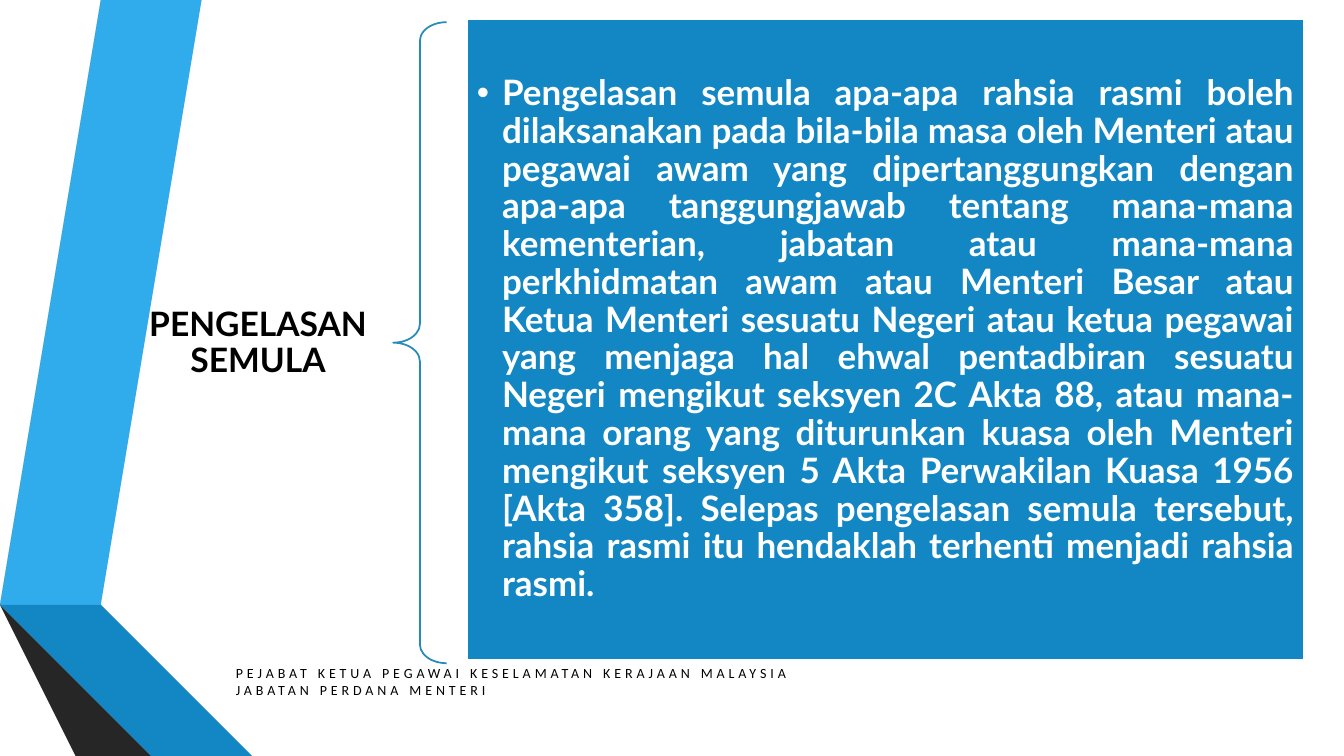
from pptx import Presentation
from pptx.dml.color import RGBColor
from pptx.enum import shapes, text
from pptx.oxml import parse_xml
from pptx.oxml.ns import nsdecls
from pptx.util import Inches, Pt

# Content
HEADING = "PENGELASAN SEMULA"
EXPLANATION = (
    "Pengelasan semula apa-apa rahsia rasmi boleh dilaksanakan pada bila-bila masa "
    "oleh Menteri atau pegawai awam yang dipertanggungkan dengan apa-apa tanggungjawab "
    "tentang mana-mana kementerian, jabatan atau mana-mana perkhidmatan awam atau "
    "Menteri Besar atau Ketua Menteri sesuatu Negeri atau ketua pegawai yang menjaga "
    "hal ehwal pentadbiran sesuatu Negeri mengikut seksyen 2C Akta 88, atau mana-mana "
    "orang yang diturunkan kuasa oleh Menteri mengikut seksyen 5 Akta Perwakilan Kuasa "
    "1956 [Akta 358]. Selepas pengelasan semula tersebut, rahsia rasmi itu hendaklah "
    "terhenti menjadi rahsia rasmi."
)
OFFICE = "PEJABAT KETUA PEGAWAI KESELAMATAN KERAJAAN MALAYSIA\nJABATAN PERDANA MENTERI"

BLACK = RGBColor(0x00, 0x00, 0x00)
WHITE = RGBColor(0xFF, 0xFF, 0xFF)
BLUE = RGBColor(0x12, 0x87, 0xC3)
BRACE_BLUE = RGBColor(0x26, 0x8A, 0xBD)

# Ribbon facets: colour and corners in inches
RIBBONS = [
    (RGBColor(0x30, 0xAC, 0xEC), [(0.5, 5.78), (0.77, 5.83), (1.73, 0), (1.45, 0)]),
    (RGBColor(0x59, 0x59, 0x59), [(1.39, 0), (1.11, 0), (0.16, 5.73), (0.44, 5.77)]),
    (RGBColor(0x26, 0x26, 0x26), [(0.16, 5.73), (1.45, 7.5), (1.51, 7.5)]),
    (RGBColor(0x0C, 0x5A, 0x82), [(0.5, 5.79), (2.08, 7.5), (2.14, 7.5)]),
    (BLUE, [(0.5, 5.79), (2.14, 7.5), (2.83, 7.5), (0.77, 5.83), (0.5, 5.78)]),
    (RGBColor(0x40, 0x40, 0x40),
     [(2.02, 7.5), (0.48, 5.83), (0.44, 5.77), (0.16, 5.73), (1.51, 7.5)]),
]


def place(part, left, top, width, height):
    part.left, part.top = Inches(left), Inches(top)
    part.width, part.height = Inches(width), Inches(height)


def set_frame(frame, side, edge):
    frame.word_wrap = True
    frame.auto_size = text.MSO_AUTO_SIZE.NONE
    frame.vertical_anchor = text.MSO_ANCHOR.MIDDLE
    frame.margin_left = frame.margin_right = Inches(side)
    frame.margin_top = frame.margin_bottom = Inches(edge)


def style(paragraph, font_name, size, colour, bold, align):
    paragraph.alignment = align
    for run in paragraph.runs:
        run.font.name = font_name
        run.font.size = Pt(size)
        run.font.bold = bold
        run.font.color.rgb = colour


prs = Presentation()
prs.slide_width, prs.slide_height = Inches(13.33), Inches(7.5)
slide = prs.slides.add_slide(prs.slide_layouts[1])

# Folded ribbons on the left
for colour, corners in RIBBONS:
    builder = slide.shapes.build_freeform(*corners[0], scale=Inches(1))
    builder.add_line_segments(corners[1:], close=True)
    ribbon = builder.convert_to_shape()
    ribbon.shadow.inherit = False
    ribbon.fill.solid()
    ribbon.fill.fore_color.rgb = colour
    ribbon.line.fill.background()

# Heading
heading = slide.shapes.title
place(heading, 1.23, 2.29, 2.66, 2.24)
set_frame(heading.text_frame, 0.19, 0.07)
heading.text_frame.text = HEADING
heading_line = heading.text_frame.paragraphs[0]
heading_line.line_spacing = 0.9
style(heading_line, "Lato", 24, BLACK, True, text.PP_ALIGN.CENTER)

# Brace
brace = slide.shapes.add_shape(shapes.MSO_SHAPE.LEFT_BRACE, Inches(3.9), Inches(0.22),
                               Inches(0.53), Inches(6.36))
brace.adjustments[0] = 0.35
brace.adjustments[1] = 0.5
brace.shadow.inherit = False
brace.fill.background()
brace.line.color.rgb = BRACE_BLUE
brace.line.width = Pt(1.25)

# Explanation panel
panel = slide.placeholders[1]
place(panel, 4.63, 0.19, 8.3, 6.36)
panel.fill.solid()
panel.fill.fore_color.rgb = BLUE
panel.line.color.rgb = WHITE
panel.line.width = Pt(1.25)
set_frame(panel.text_frame, 0.1, 0.1)
panel.text_frame.text = EXPLANATION
item = panel.text_frame.paragraphs[0]
item.line_spacing = 0.9
item.space_before = Pt(0)
item_props = item._p.get_or_add_pPr()
item_props.set("marL", str(Inches(0.25)))
item_props.set("indent", str(-Inches(0.25)))
item_props.append(parse_xml(f'<a:buChar {nsdecls("a")} char="•"/>'))
style(item, "Lato", 25, WHITE, True, text.PP_ALIGN.JUSTIFY)

# Office name at the foot
office = slide.shapes.add_textbox(Inches(2.24), Inches(6.54), Inches(6.68), Inches(0.44))
office.text_frame.word_wrap = True
office.text_frame.text = OFFICE
for line in office.text_frame.paragraphs:
    style(line, "Calibri", 10, BLACK, False, text.PP_ALIGN.LEFT)
    for run in line.runs:
        run.font._element.set("spc", "280")

prs.save("out.pptx")
